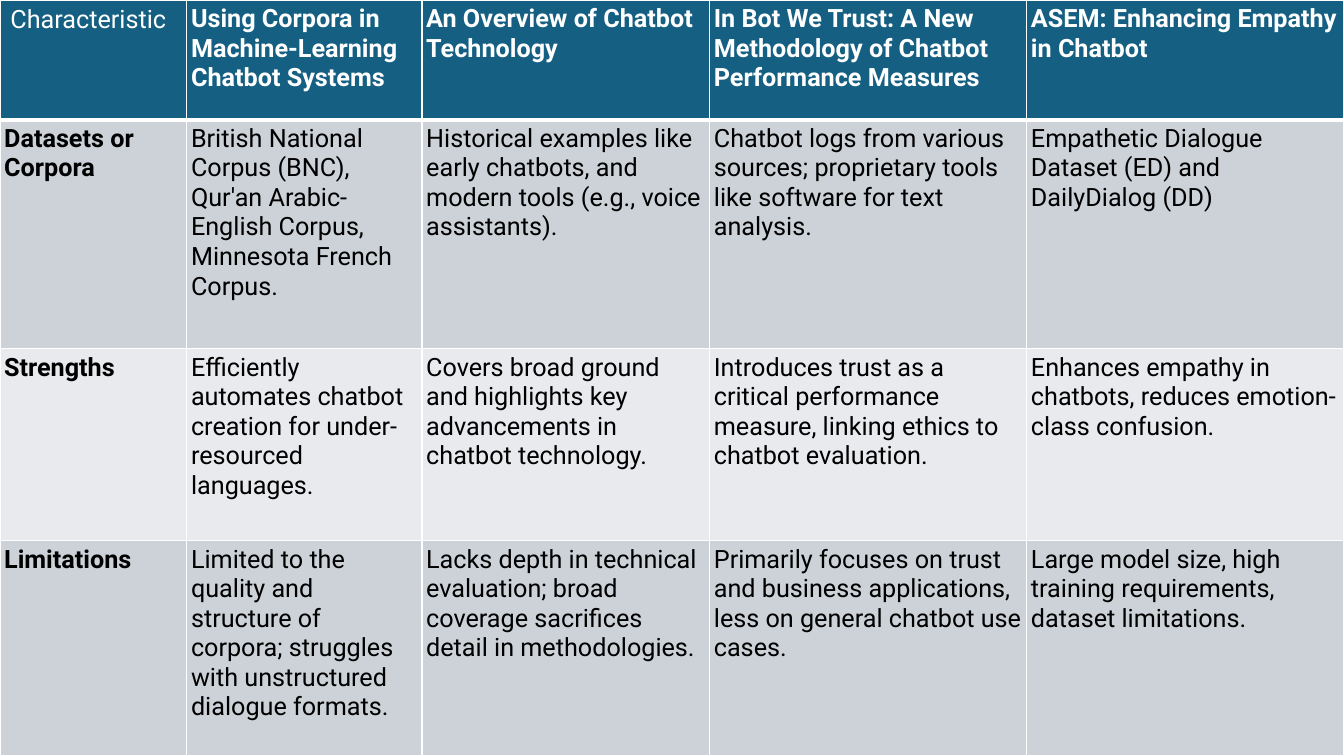
"""Build a slide with a table comparing four chatbot papers."""
from dataclasses import dataclass

import pptx
import pptx.dml.color
import pptx.oxml
import pptx.oxml.ns
import pptx.table
import pptx.util

EMU_PER_PX = 9525
SLIDE_WIDTH, SLIDE_HEIGHT = 1280, 720
COLUMN_WIDTHS = [178, 224, 274, 302, 302]
CELL_MARGIN = 4
CORNER_MARGINS = (10, 5)
FONT_NAME, FONT_SIZE = "Roboto", 18
COLORS = {
    "backdrop": "031C26",
    "header": "156082",
    "dark_band": "CCD2D8",
    "light_band": "E8EAED",
    "white": "FFFFFF",
    "black": "000000",
}


@dataclass(frozen=True)
class TableRow:
    height: int
    fill: str
    texts: tuple[str, ...]


ROWS = [
    TableRow(114, "header", (
        "Characteristic",
        "Using Corpora in Machine-Learning Chatbot Systems",
        "An Overview of Chatbot Technology",
        "In Bot We Trust: A New Methodology of Chatbot Performance Measures",
        "ASEM: Enhancing Empathy in Chatbot",
    )),
    TableRow(218, "dark_band", (
        "Datasets or Corpora",
        "British National Corpus (BNC), Qur'an Arabic-English Corpus, Minnesota French Corpus.",
        "Historical examples like early chatbots, and modern tools (e.g., voice assistants).",
        "Chatbot logs from various sources; proprietary tools like software for text analysis.",
        "Empathetic Dialogue Dataset (ED) and DailyDialog (DD)",
    )),
    TableRow(183, "light_band", (
        "Strengths",
        "Efficiently automates chatbot creation for under-resourced languages.",
        "Covers broad ground and highlights key advancements in chatbot technology.",
        "Introduces trust as a critical performance measure, linking ethics to chatbot evaluation.",
        "Enhances empathy in chatbots, reduces emotion-class confusion.",
    )),
    TableRow(205, "dark_band", (
        "Limitations",
        "Limited to the quality and structure of corpora; struggles with unstructured dialogue formats.",
        "Lacks depth in technical evaluation; broad coverage sacrifices detail in methodologies.",
        "Primarily focuses on trust and business applications, less on general chatbot use cases.",
        "Large model size, high training requirements, dataset limitations.",
    )),
]


def px(length: int) -> pptx.util.Emu:
    return pptx.util.Emu(length * EMU_PER_PX)


def color(name: str) -> pptx.dml.color.RGBColor:
    return pptx.dml.color.RGBColor.from_string(COLORS[name])


def add_borders(cell: pptx.table._Cell, bottom_points: int) -> None:
    properties = cell._tc.get_or_add_tcPr()
    widths = {"lnL": 1, "lnR": 1, "lnT": 1, "lnB": bottom_points}
    for side, points in widths.items():
        properties.append(pptx.oxml.parse_xml(
            f'<a:{side} {pptx.oxml.ns.nsdecls("a")} w="{pptx.util.Pt(points)}">'
            f'<a:solidFill><a:srgbClr val="{COLORS["white"]}"/></a:solidFill>'
            f'</a:{side}>'
        ))


def fill_cell(cell: pptx.table._Cell, text: str, fill: str,
              is_header: bool, is_label: bool) -> None:
    is_corner = is_header and is_label
    across, down = CORNER_MARGINS if is_corner else (CELL_MARGIN, CELL_MARGIN)
    cell.margin_left = cell.margin_right = px(across)
    cell.margin_top = cell.margin_bottom = px(down)
    add_borders(cell, 3 if is_header else 1)
    cell.fill.solid()
    cell.fill.fore_color.rgb = color(fill)
    cell.text = text
    font = cell.text_frame.paragraphs[0].font
    font.name = FONT_NAME
    font.size = pptx.util.Pt(FONT_SIZE)
    font.bold = is_header != is_label
    font.color.rgb = color("white" if is_header else "black")


def main() -> None:
    deck = pptx.Presentation()
    deck.slide_width, deck.slide_height = px(SLIDE_WIDTH), px(SLIDE_HEIGHT)
    page = deck.slides.add_slide(deck.slide_layouts[6])
    page.background.fill.solid()
    page.background.fill.fore_color.rgb = color("backdrop")

    table = page.shapes.add_table(
        len(ROWS), len(COLUMN_WIDTHS), 0, 0, px(SLIDE_WIDTH), px(SLIDE_HEIGHT)
    ).table
    for column, width in zip(table.columns, COLUMN_WIDTHS):
        column.width = px(width)
    for row_index, row in enumerate(ROWS):
        table.rows[row_index].height = px(row.height)
        for column_index, text in enumerate(row.texts):
            fill_cell(table.cell(row_index, column_index), text, row.fill,
                      row_index == 0, column_index == 0)

    deck.save("out.pptx")


if __name__ == "__main__":
    main()
